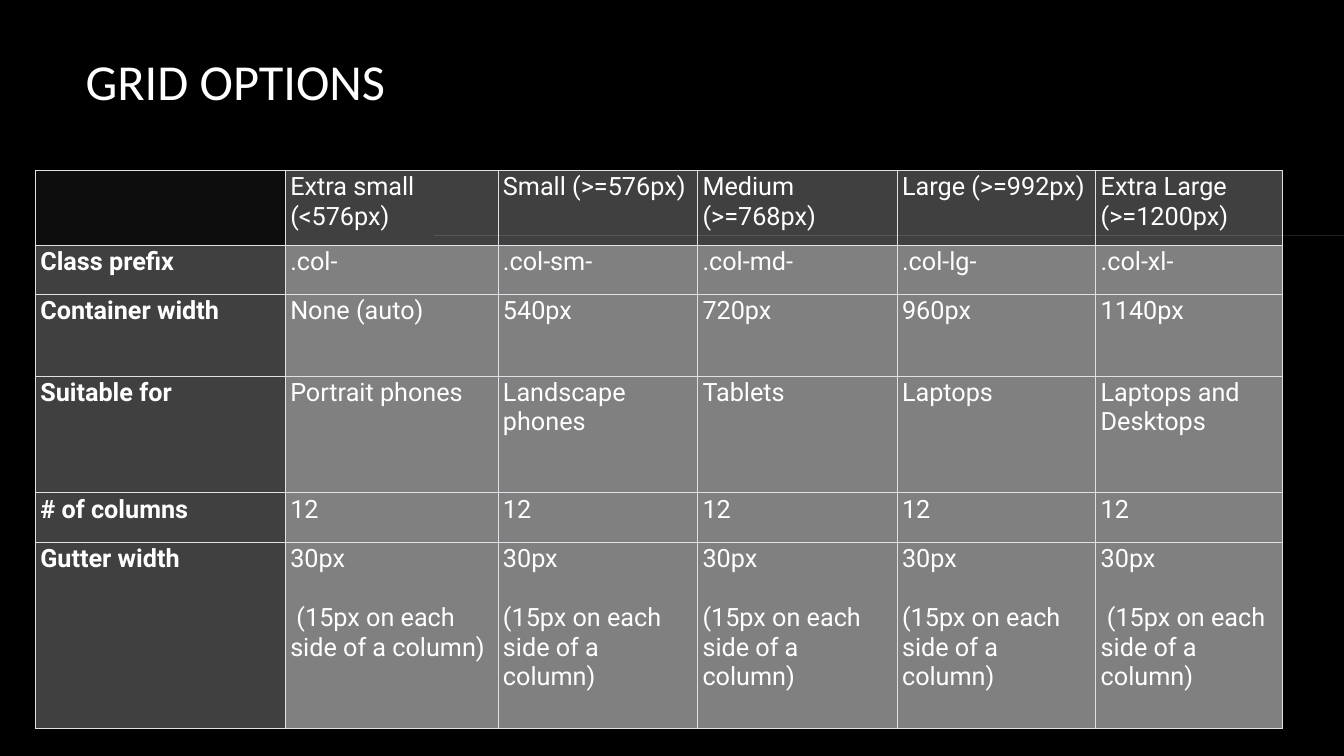
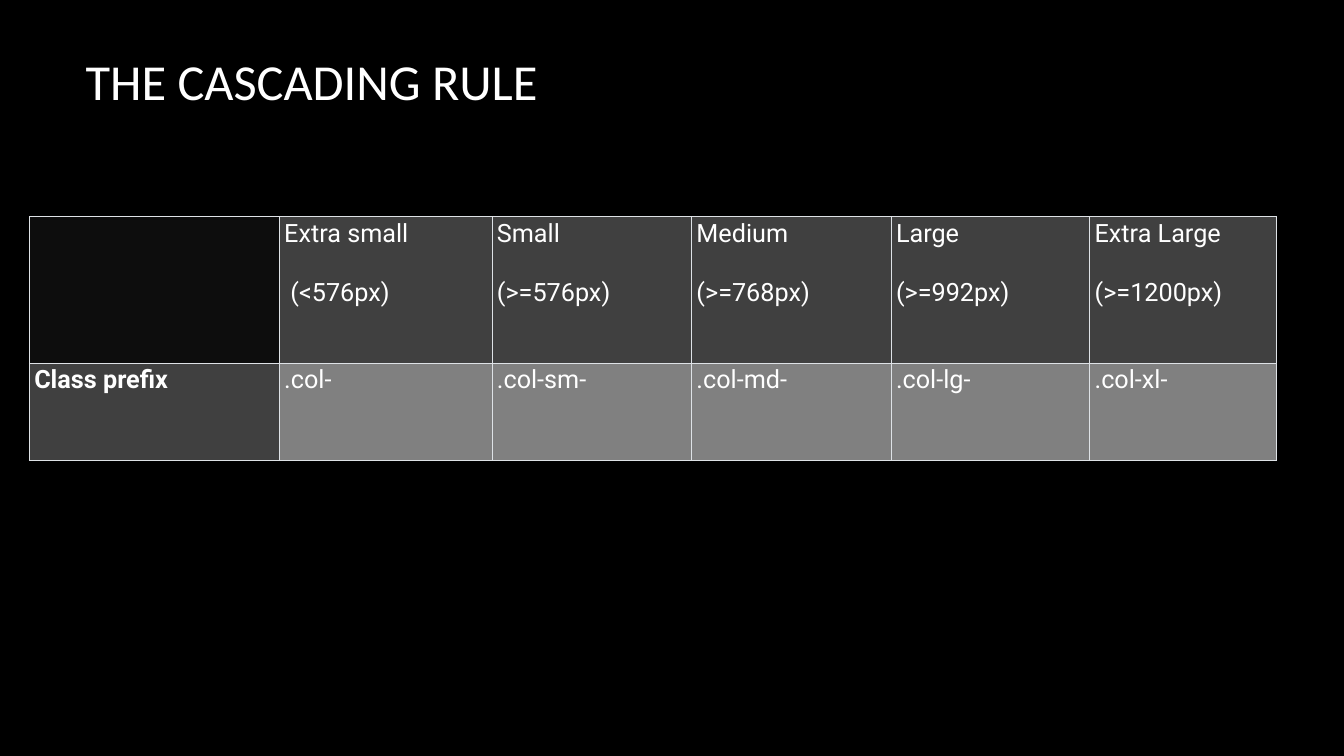
"""Two slides of grid breakpoint tables that share one title style and one table style."""
from dataclasses import dataclass

from lxml import etree
from pptx import Presentation
from pptx.dml.color import RGBColor
from pptx.enum.shapes import MSO_SHAPE
from pptx.enum.text import MSO_ANCHOR
from pptx.oxml.ns import qn
from pptx.presentation import Presentation as Deck
from pptx.slide import Slide
from pptx.table import _Cell
from pptx.text.text import _Paragraph
from pptx.util import Emu, Inches, Pt

RECTANGLE = MSO_SHAPE.RECTANGLE
MIDDLE = MSO_ANCHOR.MIDDLE

BLACK = RGBColor(0x00, 0x00, 0x00)
WHITE = RGBColor(0xFF, 0xFF, 0xFF)
CORNER = RGBColor(0x0D, 0x0D, 0x0D)
HEADING = RGBColor(0x40, 0x40, 0x40)
BODY = RGBColor(0x80, 0x80, 0x80)
BORDER = RGBColor(0xDE, 0xE2, 0xE6)
RULE = RGBColor(0xF1, 0xF1, 0xF1)

WIDTH, HEIGHT = Inches(13.33), Inches(7.5)
TITLE_FONT, TITLE_SIZE = "Calibri", Pt(36)
TABLE_FONT, TABLE_SIZE = "Roboto", Pt(18)
PARAGRAPH_GAP = Pt(21)
BORDER_WIDTH = Pt(0.6)
SIDE_INSET, END_INSET = 0.37, 0.27
COLUMN_SHARES = (18.6, 15.83, 14.85, 14.85, 14.78, 13.88)

Paragraphs = tuple[str, ...]


@dataclass(frozen=True)
class Breakpoint:
    """One screen size of the grid and its settings."""
    name: str
    limit: str
    prefix: str
    container: str
    device: str


@dataclass(frozen=True)
class Row:
    """One table row: its height in percent of the slide, its label and its values."""
    height: float
    label: str
    values: list[Paragraphs]


@dataclass(frozen=True)
class TablePage:
    """One slide: its title, the table's corner in percent of the slide, and the rows."""
    title: str
    left: float
    top: float
    rows: list[Row]


BREAKPOINTS = [
    Breakpoint("Extra small", "(<576px)", ".col-", "None (auto)", "Portrait phones"),
    Breakpoint("Small", "(>=576px)", ".col-sm-", "540px", "Landscape phones"),
    Breakpoint("Medium", "(>=768px)", ".col-md-", "720px", "Tablets"),
    Breakpoint("Large", "(>=992px)", ".col-lg-", "960px", "Laptops"),
    Breakpoint("Extra Large", "(>=1200px)", ".col-xl-", "1140px", "Laptops and Desktops"),
]
PREFIXES = [(size.prefix,) for size in BREAKPOINTS]
GUTTER_NOTE = "(15px on each side of a column)"
OUTER_GUTTER = ("30px", " " + GUTTER_NOTE)
INNER_GUTTER = ("30px", GUTTER_NOTE)
FIRST, *OTHERS = BREAKPOINTS

GRID_OPTIONS = TablePage("GRID OPTIONS", 2.63, 22.53, [
    Row(9.87, "", [(f"{size.name} {size.limit}",) for size in BREAKPOINTS]),
    Row(6.53, "Class prefix", PREFIXES),
    Row(10.8, "Container width", [(size.container,) for size in BREAKPOINTS]),
    Row(15.47, "Suitable for", [(size.device,) for size in BREAKPOINTS]),
    Row(6.53, "# of columns", [("12",)] * len(BREAKPOINTS)),
    Row(24.67, "Gutter width", [OUTER_GUTTER, *[INNER_GUTTER] * 3, OUTER_GUTTER]),
])
CASCADING_RULE = TablePage("THE CASCADING RULE", 2.18, 28.67, [
    Row(19.33, "", [(FIRST.name, " " + FIRST.limit),
                    *[(size.name, size.limit) for size in OTHERS]]),
    Row(12.93, "Class prefix", PREFIXES),
])


def across(percent: float) -> Emu:
    """Return a percentage of the slide's width."""
    return Emu(round(WIDTH * percent / 100))


def down(percent: float) -> Emu:
    """Return a percentage of the slide's height."""
    return Emu(round(HEIGHT * percent / 100))


def add_span(para: _Paragraph, text: str, font: str, size: Pt, bold: bool = False) -> None:
    """Add one white run to a paragraph."""
    span = para.add_run()
    span.text = text
    span.font.name = font
    span.font.size = size
    span.font.bold = bold
    span.font.color.rgb = WHITE


def add_title(page: Slide, text: str) -> None:
    """Add the title shared by all slides."""
    box = page.shapes.add_textbox(across(5.63), 0, across(83.12), down(21.2))
    box.text_frame.word_wrap = True
    box.text_frame.vertical_anchor = MIDDLE
    add_span(box.text_frame.paragraphs[0], text, TITLE_FONT, TITLE_SIZE)


def add_borders(cell: _Cell) -> None:
    """Outline a cell on all four sides."""
    properties = cell._tc.get_or_add_tcPr()
    for side in ("lnL", "lnR", "lnT", "lnB"):
        line = etree.SubElement(properties, qn(f"a:{side}"), w=str(BORDER_WIDTH))
        fill = etree.SubElement(line, qn("a:solidFill"))
        etree.SubElement(fill, qn("a:srgbClr"), val=str(BORDER))


def fill_cell(cell: _Cell, paragraphs: Paragraphs, color: RGBColor, bold: bool) -> None:
    """Write a cell's paragraphs and set its insets, borders and fill."""
    cell.margin_left = cell.margin_right = across(SIDE_INSET)
    cell.margin_top = cell.margin_bottom = down(END_INSET)
    add_borders(cell)
    cell.fill.solid()
    cell.fill.fore_color.rgb = color
    frame = cell.text_frame
    for index, text in enumerate(paragraphs):
        para = frame.add_paragraph() if index else frame.paragraphs[0]
        if index:
            para.space_before = PARAGRAPH_GAP
        if text:
            add_span(para, text, TABLE_FONT, TABLE_SIZE, bold)


def cell_color(row: int, column: int) -> RGBColor:
    """Choose the fill of a cell from its place in the table."""
    if row and column:
        return BODY
    return HEADING if row or column else CORNER


def add_breakpoint_table(page: Slide, content: TablePage) -> None:
    """Add the table of one slide."""
    rows = content.rows
    table = page.shapes.add_table(
        len(rows), len(COLUMN_SHARES), across(content.left), down(content.top),
        across(sum(COLUMN_SHARES)), down(sum(row.height for row in rows))).table
    table.first_row = table.horz_banding = False
    for column, share in zip(table.columns, COLUMN_SHARES):
        column.width = across(share)
    for row_index, row in enumerate(rows):
        table.rows[row_index].height = down(row.height)
        for column_index, paragraphs in enumerate([(row.label,), *row.values]):
            fill_cell(table.cell(row_index, column_index), paragraphs,
                      cell_color(row_index, column_index), column_index == 0)


def add_hairline(page: Slide) -> None:
    """Add the flat rule that runs to the right edge."""
    left = across(32.33)
    rule = page.shapes.add_shape(RECTANGLE, left, down(31.2), WIDTH - left, 0)
    rule.shadow.inherit = False
    rule.fill.solid()
    rule.fill.fore_color.rgb = RULE
    rule.line.fill.background()


def add_page(deck: Deck, content: TablePage) -> Slide:
    """Add a black slide with its title and table."""
    page = deck.slides.add_slide(deck.slide_layouts[6])
    page.background.fill.solid()
    page.background.fill.fore_color.rgb = BLACK
    add_title(page, content.title)
    add_breakpoint_table(page, content)
    return page


def main() -> None:
    """Build and save the deck."""
    deck = Presentation()
    deck.slide_width, deck.slide_height = WIDTH, HEIGHT
    add_hairline(add_page(deck, GRID_OPTIONS))
    add_page(deck, CASCADING_RULE)
    deck.save("out.pptx")


main()
